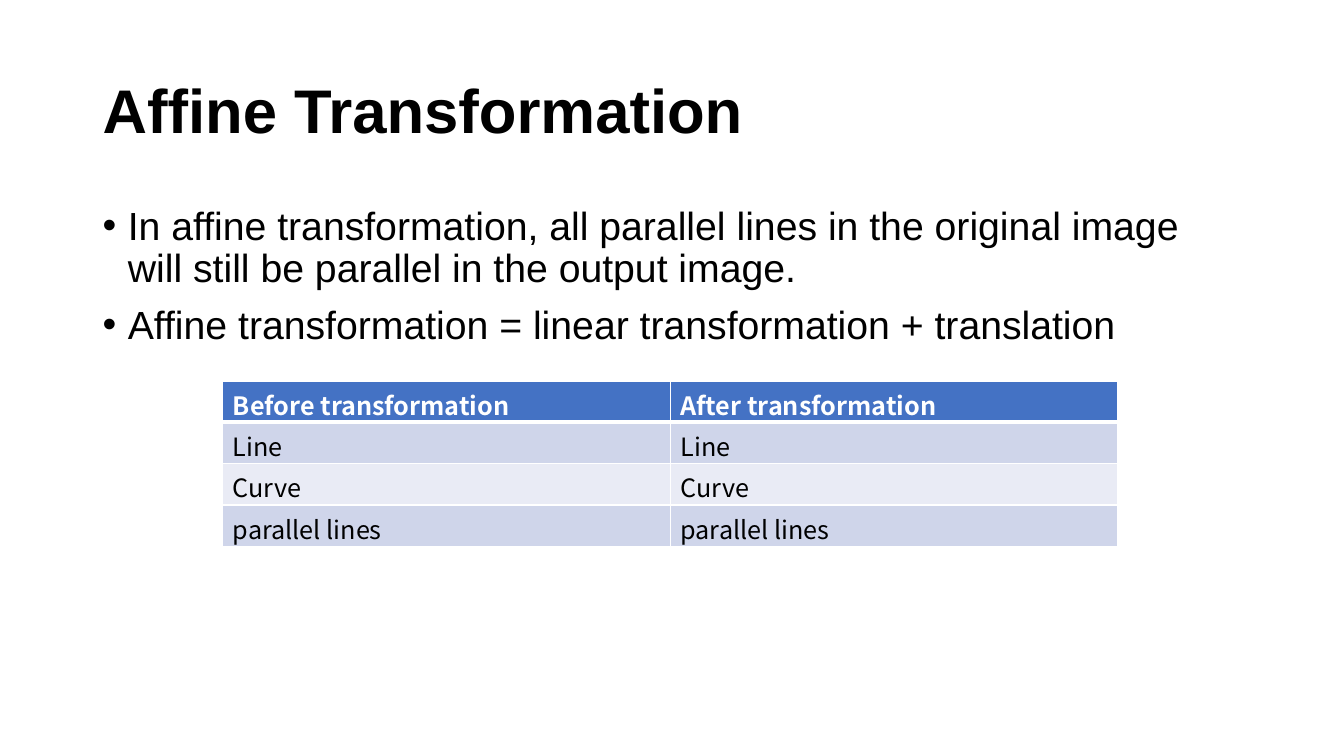
"""Build the slide on affine transformation."""
from lxml import etree
from pptx import Presentation, util as u
from pptx.dml.color import RGBColor
from pptx.enum import text as t
from pptx.oxml.ns import qn

TITLE = "Affine Transformation"
POINTS = [
    "In affine transformation, all parallel lines in the original image will still be parallel in the output image.",
    "Affine transformation = linear transformation + translation",
]
HEAD = ("Before transformation", "After transformation")
KINDS = ["Line", "Curve", "parallel lines"]
ROWS = [HEAD] + [(kind, kind) for kind in KINDS]

THEME = {
    "title": {"name": "Arial", "size": 44, "bold": True, "color": "000000"},
    "body": {"name": "Arial", "size": 28, "bold": False, "color": "000000"},
    "head": {"name": "Noto Sans CJK SC", "size": 18, "bold": True, "color": "FFFFFF"},
    "cell": {"name": "Noto Sans CJK SC", "size": 18, "bold": False, "color": "000000"},
    "fills": {"head": "4472C4", "bands": ("CFD5EA", "E9EBF5")},
    "rule": {"color": "FFFFFF", "thin": 1, "thick": 3},
}
LEFT, WIDE = 0.92, 11.5
GRID = {"left": 2.21, "top": 3.78, "col": 4.44, "row": 0.41}


def style(run, look):
    for key, val in look.items():
        if key == "color":
            run.font.color.rgb = RGBColor.from_string(val)
        else:
            setattr(run.font, key, u.Pt(val) if key == "size" else val)


def write(para, words, look, form):
    for key, val in form.items():
        setattr(para, key, val)
    run = para.add_run()
    run.text = words
    style(run, THEME[look])


def add_box(slide, top, high, anchor):
    box = slide.shapes.add_textbox(*map(u.Inches, (LEFT, top, WIDE, high)))
    frame = box.text_frame
    frame.word_wrap = True
    frame.vertical_anchor = anchor
    return frame


def add_points(frame):
    for num, words in enumerate(POINTS):
        para = frame.add_paragraph() if num else frame.paragraphs[0]
        write(para, words, "body", {"line_spacing": 0.9, "space_before": u.Pt(10)})
        props = para._p.get_or_add_pPr()
        props.set("marL", str(u.Inches(0.25)))
        props.set("indent", str(u.Inches(-0.25)))
        etree.SubElement(props, qn("a:buFont"), typeface="Arial")
        etree.SubElement(props, qn("a:buChar"), char="•")


def add_rules(cell, row):
    rule = THEME["rule"]
    thick = {0: "B", 1: "T"}.get(row)
    props = cell._tc.get_or_add_tcPr()
    for side in "LRTB":
        size = rule["thick" if side == thick else "thin"]
        line = etree.SubElement(props, qn("a:ln" + side), w=str(u.Pt(size)))
        fill = etree.SubElement(line, qn("a:solidFill"))
        etree.SubElement(fill, qn("a:srgbClr"), val=rule["color"])


def add_grid(slide):
    rows, cols = len(ROWS), len(HEAD)
    size = (GRID["left"], GRID["top"], cols * GRID["col"], rows * GRID["row"])
    table = slide.shapes.add_table(rows, cols, *map(u.Inches, size)).table
    fills = THEME["fills"]
    for row, words in enumerate(ROWS):
        for col, word in enumerate(words):
            cell = table.cell(row, col)
            add_rules(cell, row)
            shade = fills["bands"][(row - 1) % 2] if row else fills["head"]
            cell.fill.solid()
            cell.fill.fore_color.rgb = RGBColor.from_string(shade)
            write(cell.text_frame.paragraphs[0], word, "cell" if row else "head", {})


def main():
    deck = Presentation()
    deck.slide_width, deck.slide_height = u.Inches(13.33), u.Inches(7.5)
    slide = deck.slides.add_slide(deck.slide_layouts[6])
    title = add_box(slide, 0.4, 1.45, t.MSO_ANCHOR.MIDDLE)
    write(title.paragraphs[0], TITLE, "title", {"line_spacing": 0.9})
    add_points(add_box(slide, 2, 4.76, t.MSO_ANCHOR.TOP))
    add_grid(slide)
    deck.save("out.pptx")


if __name__ == "__main__":
    main()
